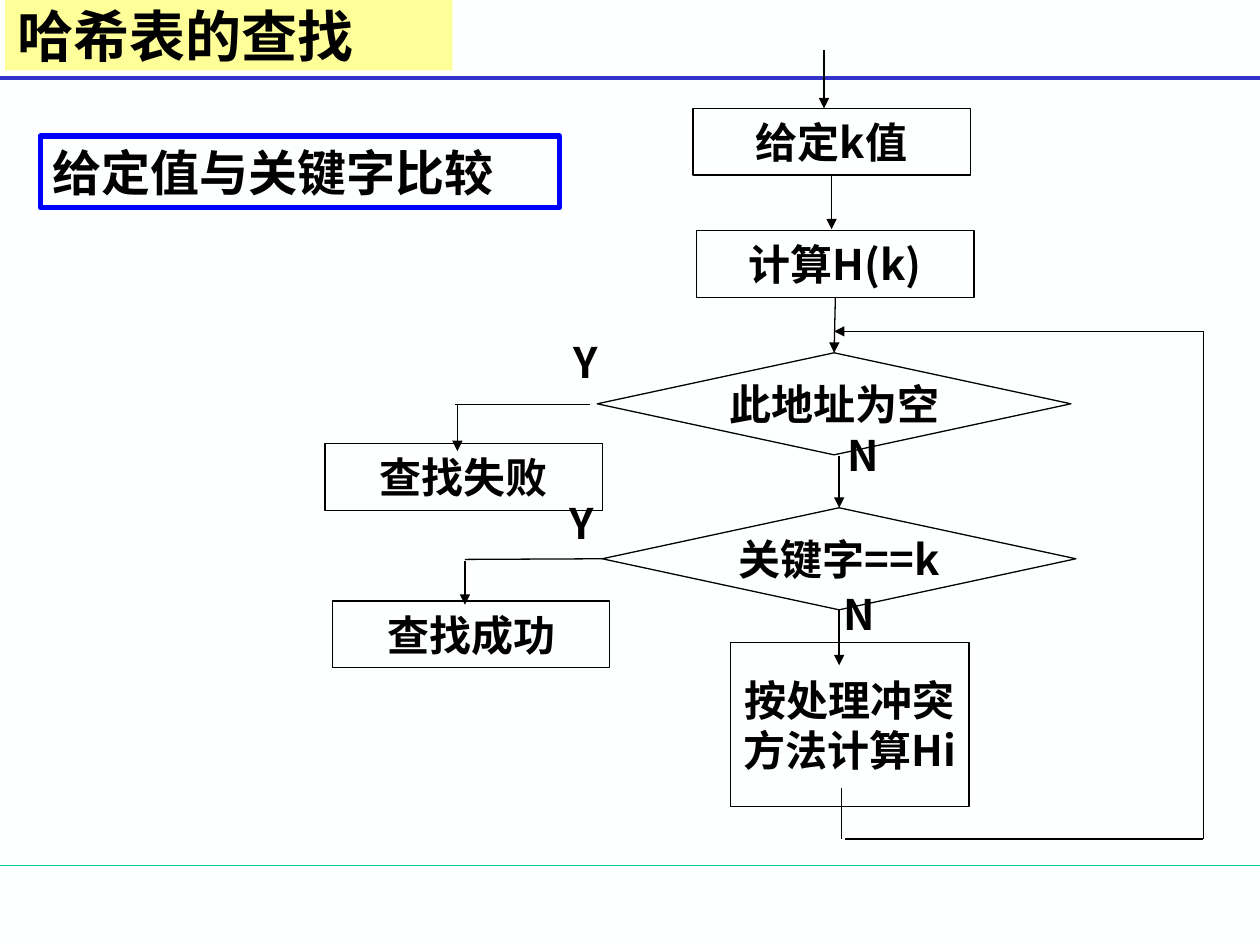
from lxml.etree import SubElement
from pptx import Presentation
from pptx.dml.color import RGBColor
from pptx.enum.shapes import MSO_CONNECTOR, MSO_SHAPE
from pptx.enum.text import MSO_ANCHOR, MSO_AUTO_SIZE, PP_ALIGN
from pptx.oxml.ns import qn
from pptx.util import Inches, Pt

THEME = {
    "font": "Noto Sans CJK SC",
    "ink": "000000", "paper": "FEFFFF", "title_fill": "FFFF99",
    "frame": "0000FF", "top_rule": "3333CC", "bottom_rule": "00CC99",
    "title": 32, "subtitle": 28, "body": 24,
    "thin": 0.75, "rule": 2.25, "thick": 3,
}

TITLE = ("哈希表的查找", (0.04, 0, 3.55, 0.56))
SUBTITLE = ("给定值与关键字比较", (0.32, 1.08, 4.12, 0.57))

STEP, TEST = (2.2, 0.53), (3.76, 0.81)
PROCESS, DECISION = MSO_SHAPE.FLOWCHART_PROCESS, MSO_SHAPE.FLOWCHART_DECISION
# name: (preset, left, top, size, lines)
NODES = {
    "given": (PROCESS, 5.5, 0.86, STEP, ["给定k值"]),
    "hash": (PROCESS, 5.53, 1.83, STEP, ["计算H(k)"]),
    "empty": (DECISION, 4.74, 2.8, TEST, ["此地址为空"]),
    "match": (DECISION, 4.78, 4.03, TEST, ["关键字==k"]),
    "failed": (PROCESS, 2.58, 3.52, STEP, ["查找失败"]),
    "found": (PROCESS, 2.64, 4.77, STEP, ["查找成功"]),
    "rehash": (PROCESS, 5.8, 5.1, (1.89, 1.3), ["按处理冲突", "方法计算Hi"]),
}

TOP, LEFT, BOTTOM = 0, 1, 2
# start, end, arrowhead; an end is a point or a (node, side) joint
FLOWS = [
    ((6.54, 0.4), (6.54, 0.86), True),
    (("given", BOTTOM), (6.6, 1.82), True),
    (("hash", BOTTOM), ("empty", TOP), True),
    ((6.66, 3.62), ("match", TOP), True),
    (("match", BOTTOM), (6.66, 5.28), True),
    ((4.68, 3.21), (3.61, 3.21), False),
    ((3.63, 3.21), (3.63, 3.58), True),
    (("match", LEFT), (3.69, 4.44), False),
    ((3.69, 4.45), (3.69, 4.8), True),
    ((6.68, 6.25), (6.68, 6.66), False),
    ((6.71, 6.66), (9.55, 6.66), False),
    ((9.55, 6.66), (9.55, 2.63), False),
    ((9.55, 2.63), (6.62, 2.63), True),
]

ANSWERS = [
    ("Y", (4.45, 2.62, 0.41, 0.5)),
    ("N", (6.63, 3.36, 0.47, 0.5)),
    ("Y", (4.42, 3.9, 0.41, 0.5)),
    ("N", (6.6, 4.62, 0.47, 0.5)),
]


def color(key):
    return RGBColor.from_string(THEME[key])


def write(shape, lines, size="body", align=PP_ALIGN.LEFT,
          anchor=MSO_ANCHOR.MIDDLE, wrap=True, grow=False):
    frame = shape.text_frame
    frame.word_wrap = wrap
    frame.vertical_anchor = anchor
    if grow:
        frame.auto_size = MSO_AUTO_SIZE.SHAPE_TO_FIT_TEXT
    for number, line in enumerate(lines):
        paragraph = frame.add_paragraph() if number else frame.paragraphs[0]
        paragraph.alignment = align
        run = paragraph.add_run()
        run.text = line
        run.font.name = THEME["font"]
        run.font.size = Pt(THEME[size])
        run.font.bold = True
        run.font.color.rgb = color("ink")
        SubElement(run.font._element, qn("a:ea"), typeface=THEME["font"])


def add_box(slide, preset, place, fill=None, line=None, width="thin"):
    box = slide.shapes.add_shape(preset, *map(Inches, place))
    box.shadow.inherit = False
    if fill:
        box.fill.solid()
        box.fill.fore_color.rgb = color(fill)
    else:
        box.fill.background()
    if line:
        box.line.color.rgb = color(line)
        box.line.width = Pt(THEME[width])
    else:
        box.line.fill.background()
    return box


def add_line(slide, start, end, ink="ink", width="thin", arrow=False):
    line = slide.shapes.add_connector(
        MSO_CONNECTOR.STRAIGHT, *map(Inches, (*start, *end)))
    line.line.color.rgb = color(ink)
    line.line.width = Pt(THEME[width])
    if arrow:
        SubElement(line.line._get_or_add_ln(), qn("a:tailEnd"), type="triangle")
    SubElement(line._element.spPr, qn("a:effectLst"))
    return line


def is_joint(end):
    return isinstance(end[0], str)


def point_of(end):
    if not is_joint(end):
        return end
    name, side = end
    _, left, top, (width, height), _ = NODES[name]
    across, down = {TOP: (0.5, 0), LEFT: (0, 0.5), BOTTOM: (0.5, 1)}[side]
    return left + width * across, top + height * down


def main():
    deck = Presentation()
    deck.slide_width, deck.slide_height = Inches(10), Inches(7.5)
    slide = deck.slides.add_slide(deck.slide_layouts[6])
    slide.background.fill.solid()
    slide.background.fill.fore_color.rgb = color("paper")

    # Page rules and title
    add_line(slide, (0, 6.87), (10, 6.87), "bottom_rule")
    add_line(slide, (0, 0.62), (10, 0.62), "top_rule", "rule")
    title, place = TITLE
    write(add_box(slide, MSO_SHAPE.RECTANGLE, place, fill="title_fill"),
          [title], "title")

    # Flowchart steps and tests
    nodes = {}
    for name, (preset, left, top, size, lines) in NODES.items():
        nodes[name] = add_box(slide, preset, (left, top, *size), line="ink")
        several = len(lines) > 1
        write(nodes[name], lines, align=PP_ALIGN.CENTER,
              wrap=several, grow=several)

    # Flow lines
    for start, end, arrow in FLOWS:
        flow = add_line(slide, point_of(start), point_of(end), arrow=arrow)
        if is_joint(start):
            flow.begin_connect(nodes[start[0]], start[1])
        if is_joint(end):
            flow.end_connect(nodes[end[0]], end[1])

    # Yes and no answers
    for answer, place in ANSWERS:
        label = slide.shapes.add_textbox(*map(Inches, place))
        write(label, [answer], anchor=MSO_ANCHOR.TOP, wrap=False, grow=True)

    # Framed subtitle
    subtitle, place = SUBTITLE
    framed = add_box(slide, MSO_SHAPE.RECTANGLE, place, line="frame", width="thick")
    write(framed, [subtitle], "subtitle", anchor=MSO_ANCHOR.TOP, grow=True)

    deck.save("out.pptx")


if __name__ == "__main__":
    main()
